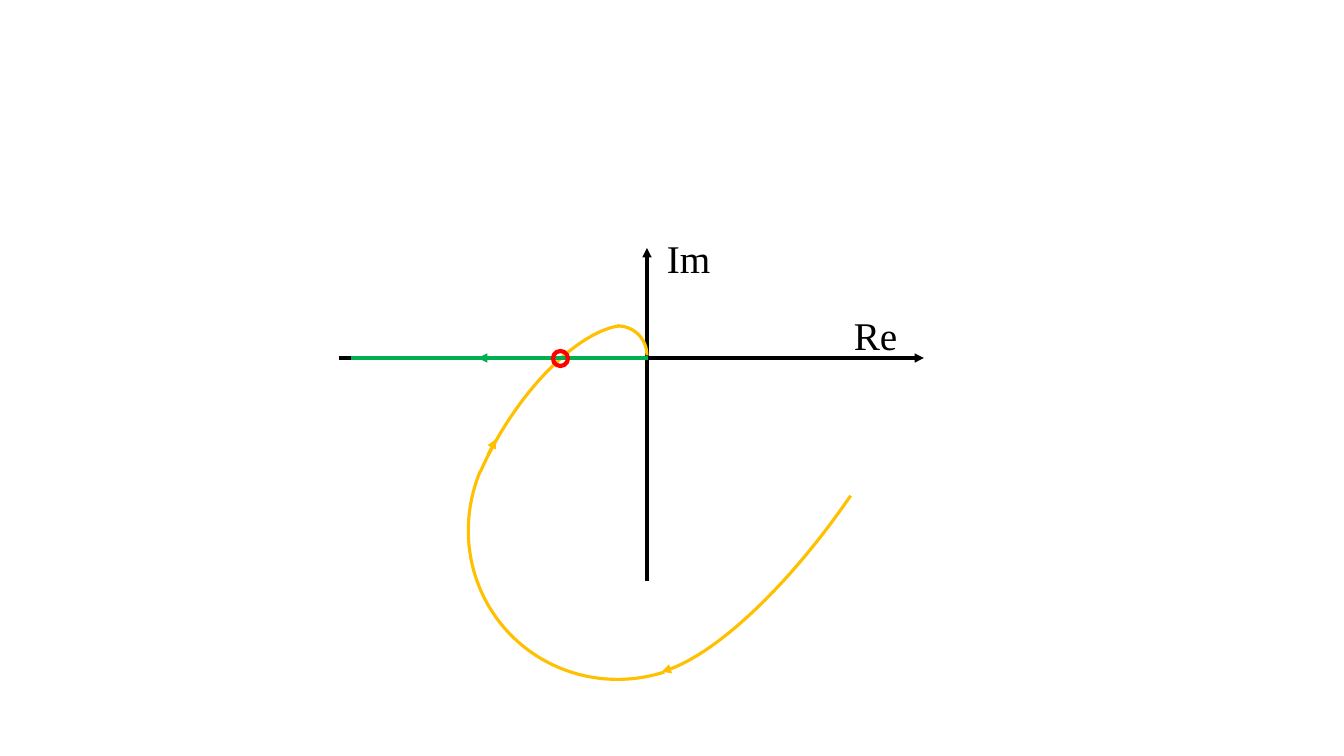
"""Build a slide with a Nyquist curve in the complex plane."""
from pptx import Presentation
from pptx import util as u
from pptx.dml.color import RGBColor
from pptx.enum import shapes, text
from pptx.oxml import ns, xmlchemy

BLACK, ORANGE, GREEN, RED = "000000", "FFC000", "00B050", "FF0000"
FONT = "Times New Roman"


def px(length):
    """Turn pixels into EMU."""
    return u.Emu(round(length * 914400 / 100.8))


def colour(value):
    """Turn a hex string into a colour."""
    return RGBColor.from_string(value)


def style_line(item, value, width=2.25, arrow=False):
    """Set the outline of a shape or connector, with an optional arrowhead."""
    item.line.fill.solid()
    item.line.fill.fore_color.rgb = colour(value)
    item.line.width = u.Pt(width)
    if arrow:
        tail = xmlchemy.OxmlElement("a:tailEnd")
        tail.set("type", "triangle")
        item.line.fill._xPr.append(tail)


def add_line(page, start, end, value, arrow=False):
    """Draw a straight line between two points."""
    line = page.shapes.add_connector(
        shapes.MSO_CONNECTOR.STRAIGHT, *map(px, (*start, *end)))
    style_line(line, value, arrow=arrow)
    line._element.find(ns.qn("p:spPr")).append(
        xmlchemy.OxmlElement("a:effectLst"))


def add_outline(parent, kind, frame, value, width=2.25, arrow=False):
    """Add an unfilled preset shape and return it."""
    outline = parent.shapes.add_shape(kind, *map(px, frame))
    outline.shadow.inherit = False
    outline.fill.background()
    style_line(outline, value, width, arrow)
    return outline


def add_arc(parent, frame, rotation, start, end, arrow=False):
    """Add one rotated section of the curve."""
    arc = add_outline(parent, shapes.MSO_SHAPE.ARC, frame, ORANGE, arrow=arrow)
    arc.rotation = rotation
    arc.adjustments[0] = start
    arc.adjustments[1] = end


def add_label(page, wording, left, top, size=28, value=BLACK):
    """Write the name of an axis."""
    box = page.shapes.add_textbox(*map(px, (left, top, 65, 57)))
    frame = box.text_frame
    frame.word_wrap = False
    frame.auto_size = text.MSO_AUTO_SIZE.SHAPE_TO_FIT_TEXT
    span = frame.paragraphs[0].add_run()
    span.text = wording
    span.font.name = FONT
    span.font.size = u.Pt(size)
    span.font.color.rgb = colour(value)


def main():
    """Build and save the deck."""
    deck = Presentation()
    deck.slide_width, deck.slide_height = px(1344), px(756)
    page = deck.slides.add_slide(deck.slide_layouts[6])

    add_line(page, (339, 358), (924, 358), BLACK, arrow=True)
    add_line(page, (647, 581), (647, 248), BLACK, arrow=True)

    curve = page.shapes.add_group_shape()
    add_arc(curve, (508, 358, 540, 176), 124.4, 162, 211.72, arrow=True)
    add_arc(curve, (402, 397, 318, 137), 301.5, 140.51, 210.81)
    add_arc(curve, (467, 377, 307, 301), 317.8, 69.18, 146.55)
    add_arc(curve, (589, 326, 58, 58), 359.1, 162, 1.1)
    add_line(page, (488, 455), (496, 439), ORANGE, arrow=True)

    add_line(page, (648, 358), (478, 358), GREEN, arrow=True)
    add_line(page, (521, 358), (351, 358), GREEN)
    add_outline(page, shapes.MSO_SHAPE.OVAL, (553, 351, 15, 15), RED, width=3)

    add_label(page, "Re", 844, 306)
    add_label(page, "Im", 657, 229)
    deck.save("out.pptx")


if __name__ == "__main__":
    main()
